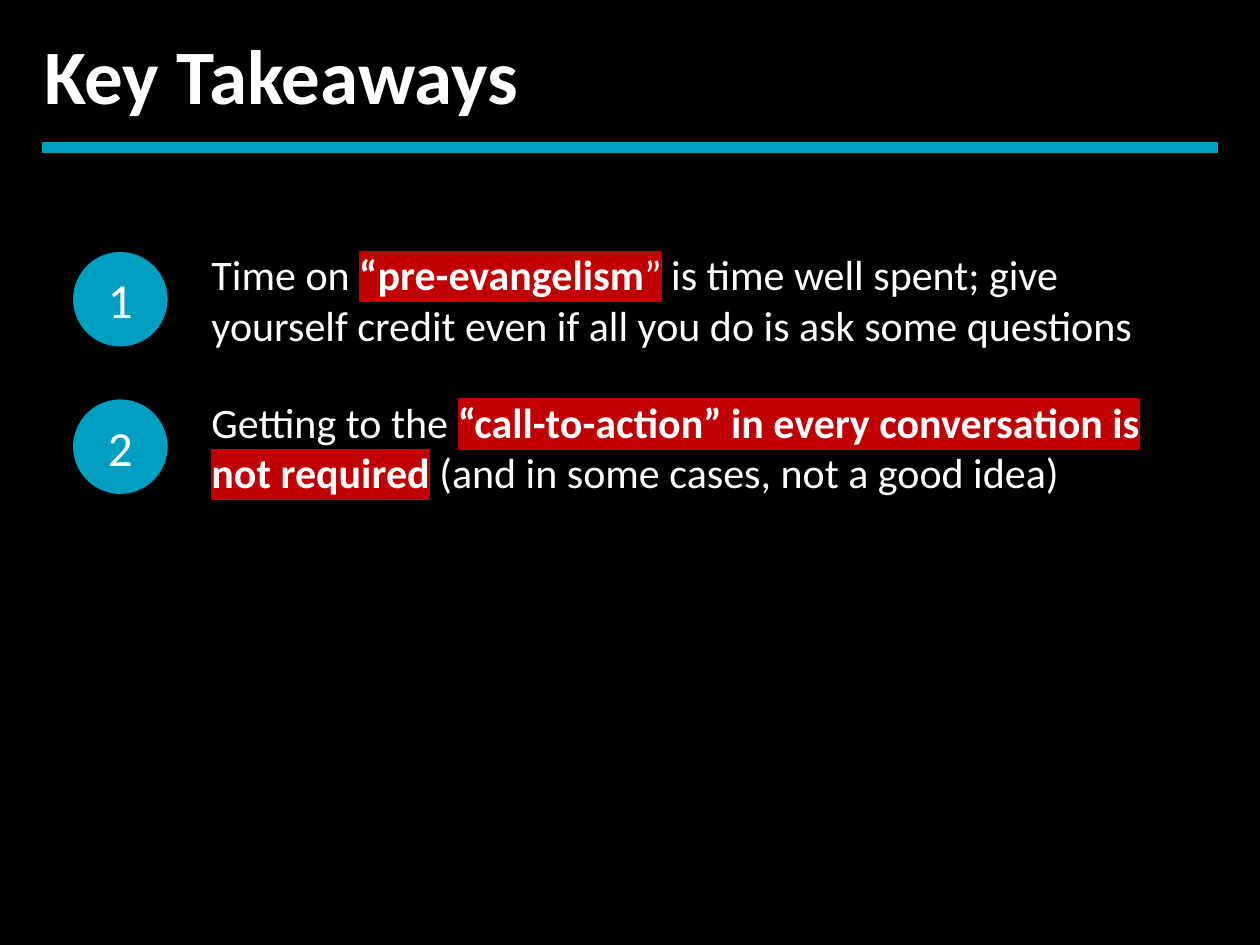
from dataclasses import dataclass

from lxml.etree import SubElement
from pptx import Presentation
from pptx.dml.color import RGBColor
from pptx.enum.shapes import MSO_CONNECTOR, MSO_SHAPE
from pptx.enum.text import MSO_ANCHOR, MSO_AUTO_SIZE, PP_ALIGN
from pptx.oxml.ns import qn
from pptx.util import Inches, Pt


@dataclass(frozen=True)
class Theme:
    font: str = "Calibri"
    background: str = "000000"
    text: str = "FFFFFF"
    accent: str = "009EC0"
    highlight: str = "C00002"
    title_size: int = 44
    number_size: int = 28
    body_size: int = 24
    rule_width: int = 6


THEME = Theme()

# Each run is (text, bold, highlighted).
TAKEAWAYS = [
    [
        ("Time on ", False, False),
        ("“pre-evangelism", True, True),
        ("”", False, True),
        (" is time well spent; give yourself credit even if all you do"
         " is ask some questions", False, False),
    ],
    [
        ("Getting to the ", False, False),
        ("“call-to-action” in every conversation is not required", True, True),
        (" (and in some cases, not a good idea)", False, False),
    ],
]
FIRST_TOP = 2
ROW_PITCH = 1.17
ROW_HEIGHT = 0.75


def rgb(value):
    return RGBColor.from_string(value)


def style(p, size, bold=False, align=PP_ALIGN.LEFT):
    p.alignment = align
    p.font.name = THEME.font
    p.font.size = Pt(size)
    p.font.bold = bold
    p.font.color.rgb = rgb(THEME.text)


def highlight(r):
    mark = SubElement(r.font._element, qn("a:highlight"))
    SubElement(mark, qn("a:srgbClr"), val=THEME.highlight)


def set_title(slide, text):
    title = slide.shapes.title
    title.left, title.top = Inches(0.25), Inches(0.17)
    title.width, title.height = Inches(9.42), Inches(0.84)
    tf = title.text_frame
    tf.text = text
    tf.vertical_anchor = MSO_ANCHOR.TOP
    tf.auto_size = MSO_AUTO_SIZE.SHAPE_TO_FIT_TEXT
    style(tf.paragraphs[0], THEME.title_size, bold=True)


def add_rule(slide):
    line = slide.shapes.add_connector(
        MSO_CONNECTOR.STRAIGHT,
        Inches(0.33), Inches(1.17), Inches(9.67), Inches(1.17))
    line.line.color.rgb = rgb(THEME.accent)
    line.line.width = Pt(THEME.rule_width)
    SubElement(line._element.spPr, qn("a:effectLst"))


def add_number(group, number, top):
    sp = group.shapes.add_shape(
        MSO_SHAPE.OVAL, Inches(0.58), Inches(top),
        Inches(ROW_HEIGHT), Inches(ROW_HEIGHT))
    sp.shadow.inherit = False
    sp.fill.solid()
    sp.fill.fore_color.rgb = rgb(THEME.accent)
    sp.line.fill.background()
    tf = sp.text_frame
    tf.text = str(number)
    tf.vertical_anchor = MSO_ANCHOR.MIDDLE
    style(tf.paragraphs[0], THEME.number_size, align=PP_ALIGN.CENTER)


def add_statement(group, runs, top):
    box = group.shapes.add_textbox(
        Inches(1.58), Inches(top), Inches(7.75), Inches(ROW_HEIGHT))
    tf = box.text_frame
    tf.word_wrap = True
    tf.vertical_anchor = MSO_ANCHOR.MIDDLE
    p = tf.paragraphs[0]
    style(p, THEME.body_size)
    for text, bold, marked in runs:
        r = p.add_run()
        r.text = text
        r.font.bold = bold
        if marked:
            highlight(r)


def add_takeaway(slide, number, runs):
    top = FIRST_TOP + (number - 1) * ROW_PITCH
    group = slide.shapes.add_group_shape()
    add_number(group, number, top)
    add_statement(group, runs, top)


def main():
    prs = Presentation()
    prs.slide_width, prs.slide_height = Inches(10), Inches(7.5)
    slide = prs.slides.add_slide(prs.slide_layouts[5])
    slide.background.fill.solid()
    slide.background.fill.fore_color.rgb = rgb(THEME.background)
    set_title(slide, "Key Takeaways")
    for number, runs in enumerate(TAKEAWAYS, start=1):
        add_takeaway(slide, number, runs)
    add_rule(slide)
    prs.save("out.pptx")


if __name__ == "__main__":
    main()
